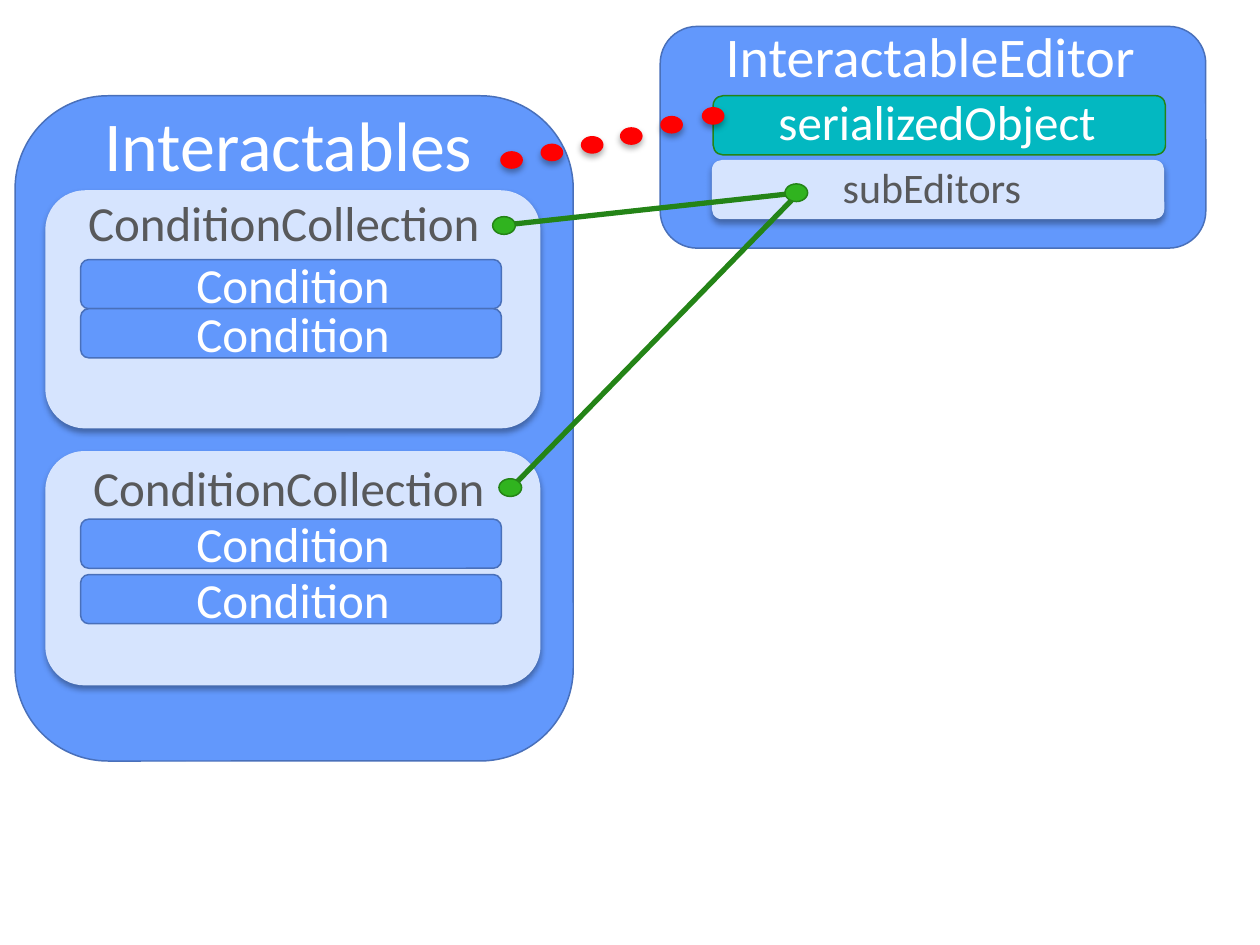
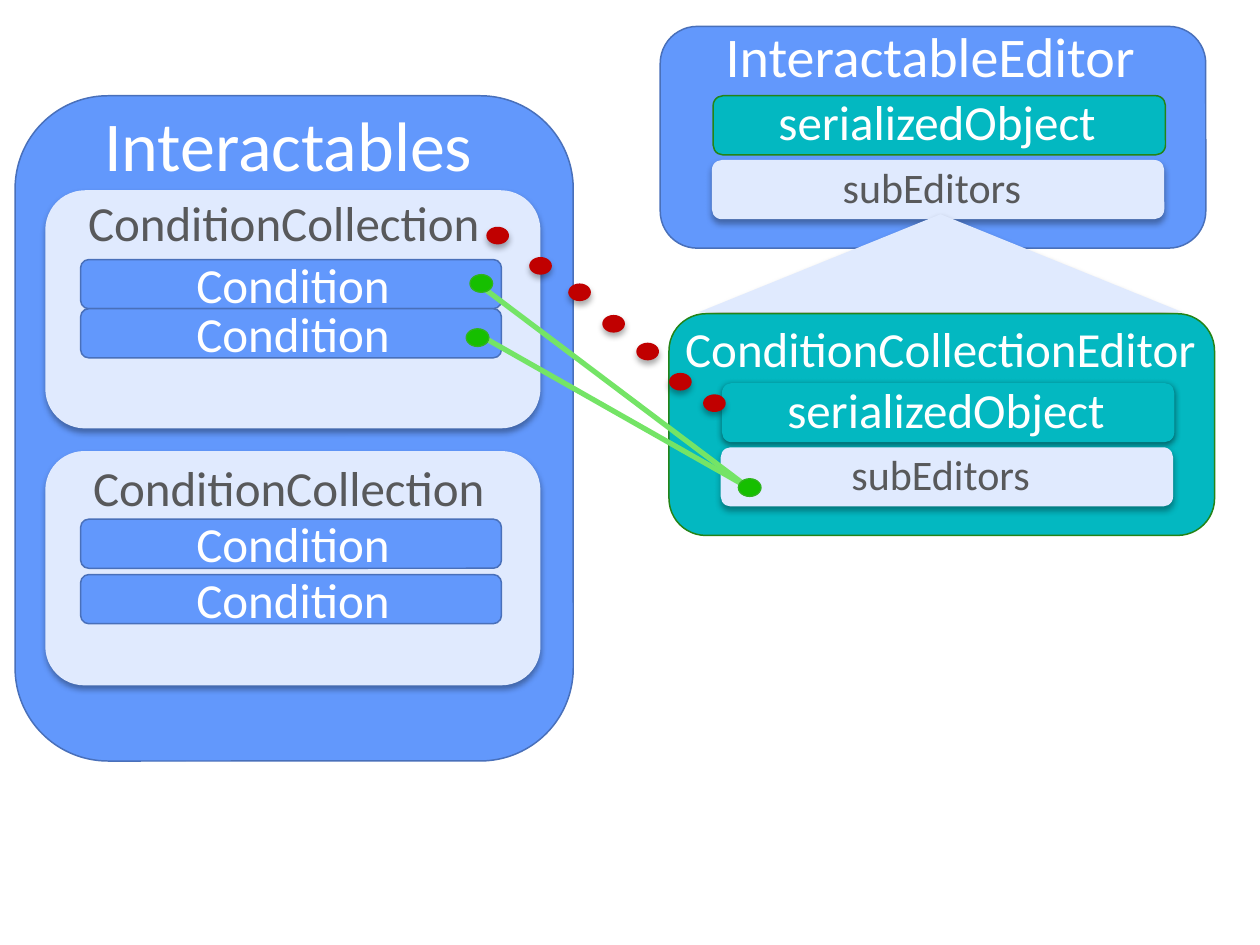
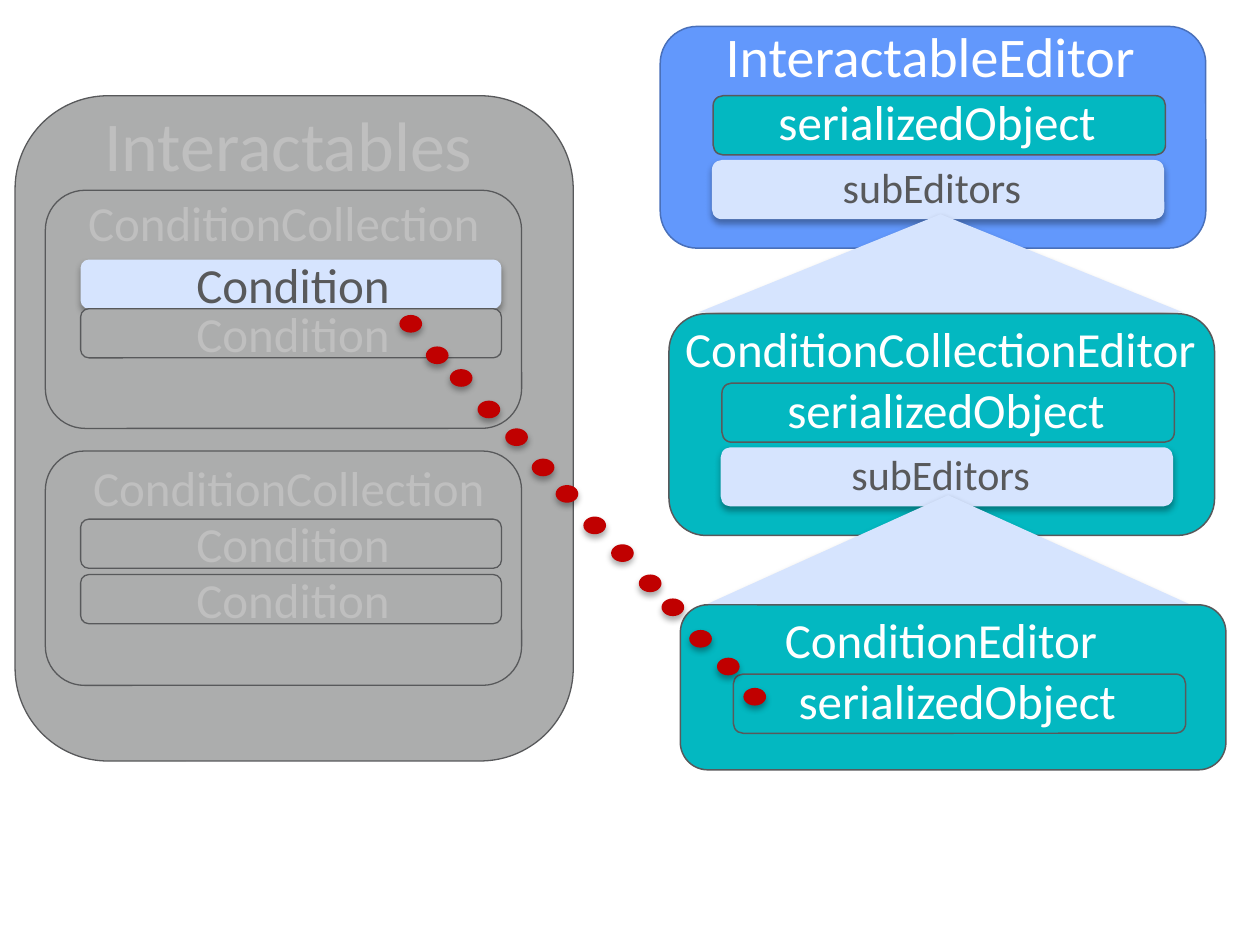
"""Build three slides on how nested editors map to interactable objects."""
from lxml.etree import SubElement
from pptx import Presentation
from pptx.dml.color import RGBColor
from pptx.enum.shapes import MSO_CONNECTOR, MSO_SHAPE
from pptx.enum.text import MSO_AUTO_SIZE
from pptx.oxml.ns import qn
from pptx.util import Inches, Pt

FONT = "Calibri"
HEX = {
    "blue": "6298FC", "navy": "4970BA", "pale": "D6E4FE", "mist": "E0EAFE",
    "teal": "03B8C1", "green": "248417", "leaf": "30B31F", "lime": "74E466",
    "vivid": "16BF00", "red": "FF0000", "wine": "C00000", "gray": "ACADAD",
    "dark": "58595B", "faint": "BFBFBF", "white": "FFFFFF", "black": "000000",
}
DROP = (32, 2.2)
SOFT = (45, 1.1)

BLUE = ("blue", "navy", 0.85)
GRAY = ("gray", "dark", 0.75)
MOSS = ("teal", "green", 0.85)
SLATE = ("teal", "dark", 0.85)
PLAIN = ("teal", None, SOFT)
PALE = ("pale", None, DROP)
MIST = ("mist", None, DROP)
RED = ("red", None, DROP)
WINE = ("wine", None, DROP)
LEAF = ("leaf", "green", 0.85)
VIVID = ("vivid", "leaf", 0.75)

GROUPS = [(1.51, 1.89), (3.58, 1.86)]
HEADS = [(0.6, 1.48, 3.48), (0.64, 3.58, 3.36)]
BARS = [2.06, 2.45, 4.12, 4.56]

EDITORS = [
    {"name": "InteractableEditor", "size": 32, "shift": (0, 0),
     "title": (5.66, 0.12, 3.48), "high": 1.76, "sub": True},
    {"name": "ConditionCollectionEditor", "size": 28, "shift": (0.07, 2.28),
     "title": (5.34, 2.48, 4.3), "high": 1.76, "sub": True,
     "roof": (5.54, 1.7, 3.85, 0.78)},
    {"name": "ConditionEditor", "size": 28, "shift": (0.16, 4.59),
     "title": (6.13, 4.79, 2.71), "high": 1.31, "sub": False,
     "roof": (5.6, 3.93, 3.85, 0.87)},
]

LIVE = {"frame": BLUE, "wide": 3.93, "bars": [BLUE] * 4,
        "title": "white", "head": "dark", "words": ["white"] * 4}
SLIDES = [
    {"panel": LIVE | {"group": PALE}, "pale": PALE,
     "editors": [(BLUE, MOSS)], "trail": RED,
     "dots": [(3.97, 1.2), (4.29, 1.14), (4.61, 1.08), (4.92, 1.01),
              (5.24, 0.92), (5.57, 0.85)],
     "wire": "green", "knob": LEAF,
     "lines": [(4.06, 3.87, 6.34, 1.53), (3.97, 1.79, 6.34, 1.53)],
     "knobs": [(3.91, 1.72), (6.23, 1.46), (3.96, 3.8)]},
    {"panel": LIVE | {"group": MIST}, "pale": MIST,
     "editors": [(BLUE, MOSS), (MOSS, PLAIN)], "trail": WINE,
     "dots": [(3.86, 1.8), (4.2, 2.04), (4.51, 2.25), (4.78, 2.5),
              (5.05, 2.72), (5.31, 2.96), (5.58, 3.13)],
     "wire": "lime", "knob": VIVID,
     "lines": [(3.79, 2.65, 5.94, 3.87), (3.79, 2.25, 5.94, 3.87)],
     "knobs": [(3.73, 2.18), (5.86, 3.8), (3.7, 2.61)]},
    {"panel": {"frame": GRAY, "group": GRAY, "wide": 3.78,
               "bars": [PALE] + [GRAY] * 3, "title": "faint",
               "head": "faint", "words": ["dark"] + ["faint"] * 3},
     "pale": PALE,
     "editors": [(BLUE, SLATE), (SLATE, SLATE), (SLATE, SLATE)],
     "trail": WINE,
     "dots": [(5.9, 5.46), (5.69, 5.22), (5.47, 5), (5.25, 4.75),
              (5.07, 4.56), (4.85, 4.32), (4.63, 4.1), (4.41, 3.85),
              (4.22, 3.64), (4.01, 3.4), (3.79, 3.18), (3.57, 2.93),
              (3.38, 2.75), (3.17, 2.5)],
     "lines": [], "knobs": []},
]


def tint(name):
    return RGBColor.from_string(HEX[name])


def shade(shape, alpha, dist):
    fx = shape._element.spPr.find(qn("a:effectLst"))
    drop = SubElement(fx, qn("a:outerShdw"), blurRad=str(Pt(3.5)),
                      dist=str(Pt(dist)), dir="5400000", rotWithShape="0")
    ink = SubElement(drop, qn("a:srgbClr"), val=HEX["black"])
    SubElement(ink, qn("a:alpha"), val=str(alpha * 1000))


def draw(slide, kind, box, style):
    fill, line, extra = style
    shape = slide.shapes.add_shape(kind, *map(Inches, box))
    shape.shadow.inherit = False
    shape.fill.solid()
    shape.fill.fore_color.rgb = tint(fill)
    if line:
        shape.line.color.rgb = tint(line)
        shape.line.width = Pt(extra)
    else:
        shape.line.fill.background()
        shade(shape, *extra)


def block(slide, box, style):
    draw(slide, MSO_SHAPE.ROUNDED_RECTANGLE, box, style)


def dot(slide, spot, style):
    draw(slide, MSO_SHAPE.OVAL, (*spot, 0.18, 0.14), style)


def label(slide, spot, text, size, color, wrap=False):
    high = round(size / 60 + 0.1, 2)
    frame = slide.shapes.add_textbox(*map(Inches, (*spot, high))).text_frame
    frame.word_wrap = wrap
    frame.auto_size = MSO_AUTO_SIZE.SHAPE_TO_FIT_TEXT
    run = frame.paragraphs[0].add_run()
    run.text = text
    run.font.name = FONT
    run.font.size = Pt(size)
    run.font.color.rgb = tint(color)


def wire(slide, ends, color):
    line = slide.shapes.add_connector(MSO_CONNECTOR.STRAIGHT,
                                      *map(Inches, ends))
    line.line.color.rgb = tint(color)
    line.line.width = Pt(3)
    SubElement(line._element.spPr, qn("a:effectLst"))


def panel(slide, look):
    block(slide, (0.12, 0.76, 4.43, 5.28), look["frame"])
    for top, high in GROUPS:
        block(slide, (0.36, top, look["wide"], high), look["group"])
    for top, style in zip(BARS, look["bars"]):
        block(slide, (0.64, top, 3.34, 0.39), style)
    label(slide, (0.73, 0.76, 3.16), "Interactables", 40, look["title"], True)
    for spot in HEADS:
        label(slide, spot, "ConditionCollection", 28, look["head"], True)
    for top, color in zip(BARS, look["words"]):
        label(slide, (1.46, top - 0.09, 1.81), "Condition", 28, color, True)


def editor(slide, data, looks, pale):
    dx, dy = data["shift"]
    body, field = looks
    if "roof" in data:
        draw(slide, MSO_SHAPE.ISOSCELES_TRIANGLE, data["roof"], pale)
    block(slide, (5.24 + dx, 0.21 + dy, 4.33, data["high"]), body)
    label(slide, data["title"], data["name"], data["size"], "white")
    block(slide, (5.66 + dx, 0.76 + dy, 3.59, 0.47), field)
    label(slide, (6.08 + dx, 0.68 + dy, 2.74), "serializedObject", 28, "white")
    if data["sub"]:
        block(slide, (5.65 + dx, 1.27 + dy, 3.59, 0.47), pale)
        label(slide, (6.59 + dx, 1.23 + dy, 1.63), "subEditors", 24, "dark")


def main():
    deck = Presentation()
    deck.slide_width, deck.slide_height = Inches(10), Inches(7.5)
    for page in SLIDES:
        slide = deck.slides.add_slide(deck.slide_layouts[6])
        panel(slide, page["panel"])
        for data, looks in zip(EDITORS, page["editors"]):
            editor(slide, data, looks, page["pale"])
        for spot in page["dots"]:
            dot(slide, spot, page["trail"])
        for ends in page["lines"]:
            wire(slide, ends, page["wire"])
        for spot in page["knobs"]:
            dot(slide, spot, page["knob"])
    deck.save("out.pptx")


if __name__ == "__main__":
    main()
